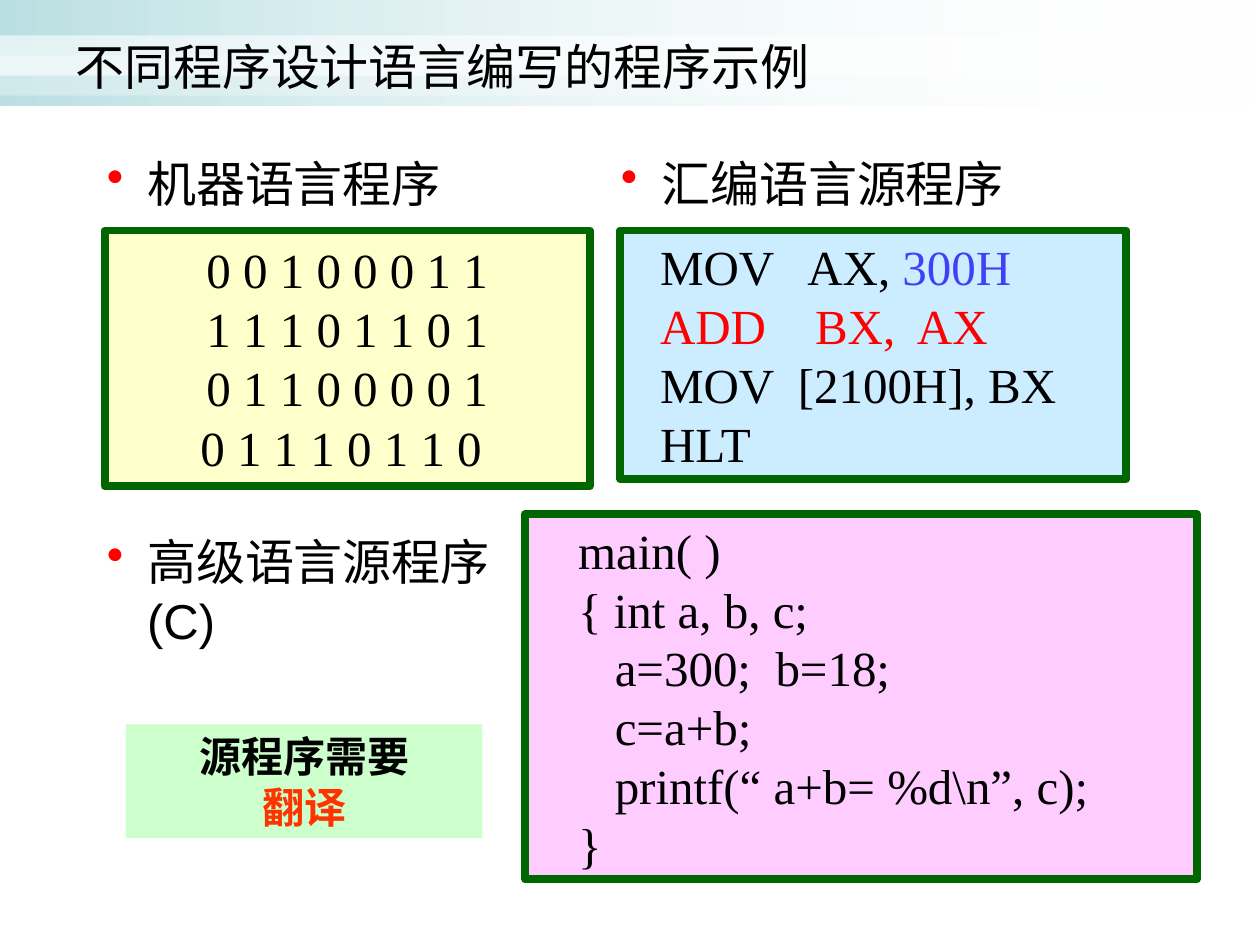
from typing import NamedTuple, Optional

from lxml.etree import SubElement
from pptx import Presentation
from pptx.dml.color import RGBColor
from pptx.enum.shapes import MSO_SHAPE
from pptx.enum.text import MSO_ANCHOR, PP_ALIGN
from pptx.oxml.ns import qn
from pptx.util import Inches, Pt

SANS, SERIF = "Arial", "Times New Roman"
BLACK, RED, BLUE, ORANGE = "000000", "FF0000", "4040F6", "FF3300"
WHITE, TEAL, GREEN = "FFFFFF", "BBE0E3", "006600"


class Area(NamedTuple):
    left: float
    top: float
    width: float
    height: float


class Span(NamedTuple):
    text: str
    color: str = BLACK


class Heading(NamedTuple):
    area: Area
    text: str


class Panel(NamedTuple):
    area: Area
    fill: str
    lines: list[list[Span]]
    line_color: Optional[str] = GREEN
    text_format: dict = {}


def hex_color(value: str) -> RGBColor:
    return RGBColor.from_string(value)


def set_alpha(color_element, percent: int) -> None:
    SubElement(color_element, qn("a:alpha")).set("val", str(percent * 1000))


def add_rectangle(page, area: Area, fill: str, line: Optional[str] = None):
    box = page.shapes.add_shape(MSO_SHAPE.RECTANGLE, *map(Inches, area))
    box.shadow.inherit = False
    box.fill.solid()
    box.fill.fore_color.rgb = hex_color(fill)
    if line:
        box.line.color.rgb = hex_color(line)
        box.line.width = Pt(4.5)
    else:
        box.line.fill.background()
    return box


def add_header_band(page) -> None:
    band = add_rectangle(page, Area(0, 0, 10, 0.84), TEAL)
    band.fill.gradient()
    band.fill.gradient_angle = 0
    for stop, color in zip(band.fill.gradient_stops, (TEAL, WHITE)):
        stop.color.rgb = hex_color(color)
    colors = list(band.element.spPr.iter(qn("a:srgbClr")))
    set_alpha(colors[-1], 0)
    for top, opacity in ((0.28, 60), (0.44, 31)):
        stripe = add_rectangle(page, Area(0, top, 10, 0.32), WHITE)
        set_alpha(next(stripe.element.spPr.iter(qn("a:srgbClr"))), opacity)


def add_bullet(para, indent: float) -> None:
    """Give a paragraph a red round bullet with a hanging indent."""
    properties = para._p.get_or_add_pPr()
    properties.set("marL", str(Inches(indent)))
    properties.set("indent", str(-Inches(indent)))
    color = SubElement(properties, qn("a:buClr"))
    SubElement(color, qn("a:srgbClr")).set("val", RED)
    SubElement(properties, qn("a:buChar")).set("char", "•")


def write_text(box, lines: list[list[Span]], *, font: str = SERIF, size: float = 28,
               bold: bool = False, align=PP_ALIGN.LEFT, anchor=MSO_ANCHOR.TOP,
               indent: float = 0, bullet: bool = False, top_inset: float = 0.05,
               line_spacing: Optional[float] = None, space_before: float = 0) -> None:
    frame = box.text_frame
    frame.word_wrap = True
    frame.vertical_anchor = anchor
    frame.margin_top = Inches(top_inset)
    for index, spans in enumerate(lines):
        para = frame.add_paragraph() if index else frame.paragraphs[0]
        para.alignment = align
        if line_spacing:
            para.line_spacing = line_spacing
        if index and space_before:
            para.space_before = Pt(space_before)
        if bullet:
            add_bullet(para, indent)
        elif indent:
            para._p.get_or_add_pPr().set("marL", str(Inches(indent)))
        for span in spans:
            run = para.add_run()
            run.text = span.text
            run.font.name = font
            run.font.size = Pt(size)
            run.font.bold = bold
            run.font.color.rgb = hex_color(span.color)


def add_text(page, area: Area, text: str, **text_format) -> None:
    box = page.shapes.add_textbox(*map(Inches, area))
    write_text(box, [[Span(text)]], font=SANS, **text_format)


def add_panel(page, panel: Panel) -> None:
    box = add_rectangle(page, panel.area, panel.fill, panel.line_color)
    write_text(box, panel.lines, **panel.text_format)


def plain(*lines: str) -> list[list[Span]]:
    return [[Span(line)] for line in lines]


HEADINGS = [
    Heading(Area(0.75, 1.17, 4, 0.57), "机器语言程序"),
    Heading(Area(4.83, 1.17, 4.92, 0.57), "汇编语言源程序"),
    Heading(Area(0.75, 4.17, 3.57, 1.04), "高级语言源程序(C)"),
]

PANELS = [
    Panel(Area(0.83, 1.83, 3.85, 2.03), "FFFFCC",
          plain("0 0 1 0 0 0 1 1", "1 1 1 0 1 1 0 1",
                "0 1 1 0 0 0 0 1", "0 1 1 1 0 1 1 0 "),
          text_format=dict(align=PP_ALIGN.CENTER, top_inset=0.16,
                           line_spacing=0.8, space_before=7)),
    Panel(Area(4.92, 1.83, 4.02, 1.97), "CCECFF",
          [[Span("MOV   AX, "), Span("300H", BLUE)],
           [Span("ADD    BX,  AX", RED)],
           *plain("MOV  [2100H], BX", "HLT")],
          text_format=dict(indent=0.22)),
    Panel(Area(4.17, 4.08, 5.33, 2.9), "FFCCFF",
          plain("main( )", "{ int a, b, c;", "   a=300;  b=18;", "   c=a+b;",
                "   printf(“ a+b= %d\\n”, c);", "}"),
          text_format=dict(indent=0.32)),
    Panel(Area(1, 5.75, 2.83, 0.9), "CCFFCC",
          [[Span("源程序需要")], [Span("翻译", ORANGE)]], line_color=None,
          text_format=dict(size=24, bold=True, align=PP_ALIGN.CENTER)),
]


def main() -> None:
    deck = Presentation()
    deck.slide_width, deck.slide_height = Inches(10), Inches(7.5)
    page = deck.slides.add_slide(deck.slide_layouts[6])
    add_header_band(page)
    add_text(page, Area(0.5, 0.13, 9, 0.79), "不同程序设计语言编写的程序示例",
             anchor=MSO_ANCHOR.MIDDLE)
    for heading in HEADINGS:
        add_text(page, heading.area, heading.text, bullet=True, indent=0.32)
    for panel in PANELS:
        add_panel(page, panel)
    deck.save("out.pptx")


if __name__ == "__main__":
    main()
